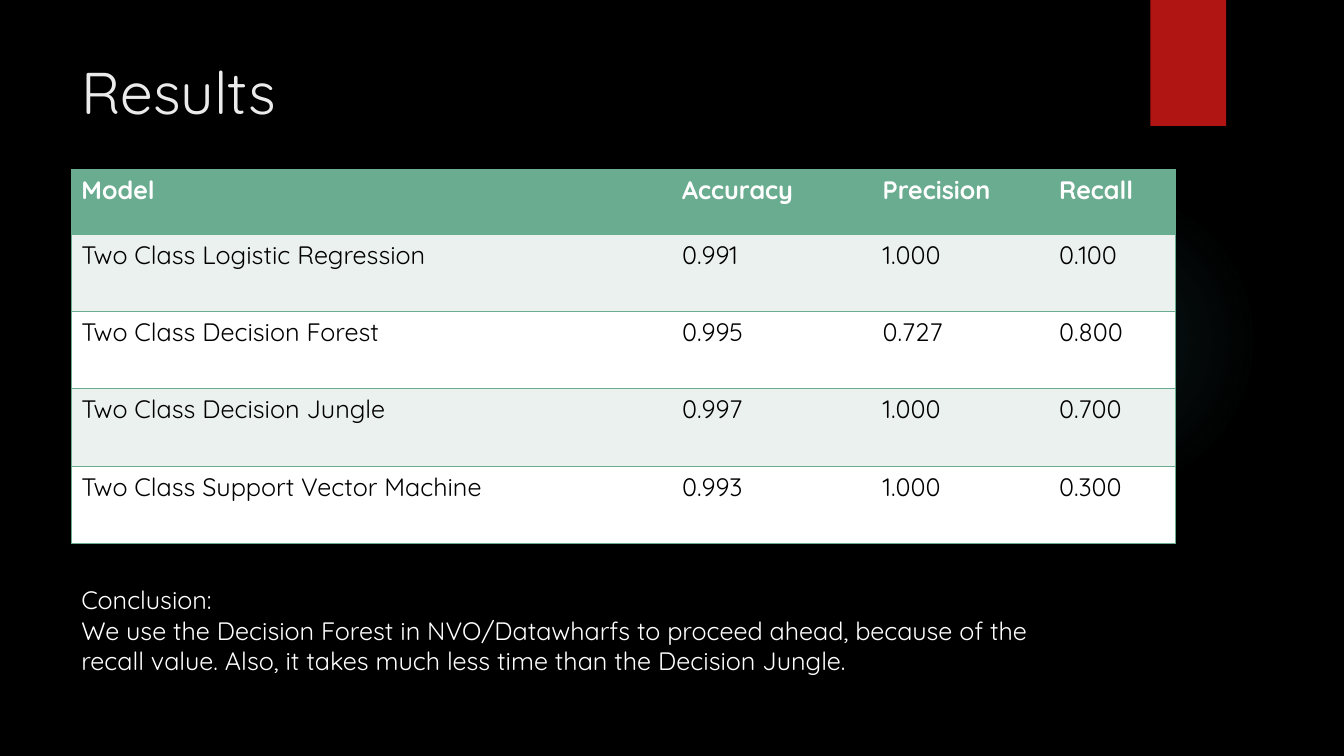
from lxml import etree
from pptx import Presentation
from pptx.dml.color import RGBColor
from pptx.enum.shapes import MSO_SHAPE
from pptx.enum.text import MSO_ANCHOR
from pptx.oxml.ns import qn
from pptx.util import Pt

RECT, OVAL = MSO_SHAPE.RECTANGLE, MSO_SHAPE.OVAL
TOP = MSO_ANCHOR.TOP

BLACK = RGBColor(0x00, 0x00, 0x00)
WHITE = RGBColor(0xFF, 0xFF, 0xFF)
PALE = RGBColor(0xEB, 0xEB, 0xEB)
RED = RGBColor(0xB0, 0x15, 0x13)
GREEN = RGBColor(0x6A, 0xAC, 0x90)
MINT = RGBColor(0xEB, 0xF1, 0xEE)
TEAL = RGBColor(0x50, 0xB9, 0xC1)

MODELS = [
    ("Model", "Accuracy", "Precision", "Recall"),
    ("Two Class Logistic Regression", "0.991", "1.000", "0.100"),
    ("Two Class Decision Forest", "0.995", "0.727", "0.800"),
    ("Two Class Decision Jungle", "0.997", "1.000", "0.700"),
    ("Two Class Support Vector Machine", "0.993", "1.000", "0.300"),
]
WIDTHS = (429, 143.3, 126, 90.5)
HEIGHTS = (46.1, 55.3, 55.3, 55.3, 55.3)


def add(parent, tag, **attrs):
    return etree.SubElement(parent, qn(tag), attrs)


class Board:
    """Holds the font and the current slide."""

    def __init__(self, slide, font):
        self.slide = slide
        self.font = font
        back = slide.background.fill
        back.solid()
        back.fore_color.rgb = BLACK

    def style(self, frame, size, color, bold=False):
        for para in frame.paragraphs:
            for run in para.runs:
                run.font.name = self.font
                run.font.size = Pt(size)
                run.font.bold = bold
                run.font.color.rgb = color

    def shape(self, kind, x, y, w, h, color):
        shape = self.slide.shapes.add_shape(kind, Pt(x), Pt(y), Pt(w), Pt(h))
        shape.shadow.inherit = False
        shape.fill.solid()
        shape.fill.fore_color.rgb = color
        shape.line.fill.background()
        return shape

    def glow(self, x, y, size, color, stops):
        """Draw a circle that fades out; stops are (place, opacity) in percent."""
        shape = self.shape(OVAL, x, y, size, size, color)
        solid = shape.fill._xPr.find(qn("a:solidFill"))
        grad = etree.Element(qn("a:gradFill"), rotWithShape="1")
        marks = add(grad, "a:gsLst")
        for place, alpha in stops:
            mark = add(marks, "a:gs", pos=str(place * 1000))
            tint = add(mark, "a:srgbClr", val=str(color))
            add(tint, "a:alpha", val=str(alpha * 1000))
        ring = add(grad, "a:path", path="circle")
        add(ring, "a:fillToRect", l="50000", t="50000", r="50000", b="50000")
        solid.getparent().replace(solid, grad)

    def text(self, x, y, w, h, words, size, color):
        box = self.slide.shapes.add_textbox(Pt(x), Pt(y), Pt(w), Pt(h))
        frame = box.text_frame
        frame.word_wrap = True
        frame.vertical_anchor = TOP
        frame.text = words
        self.style(frame, size, color)

    def border(self, cell, sides, color):
        """Draw the named sides of a cell and hide the others."""
        props = cell._tc.get_or_add_tcPr()
        for side in "LRTB":
            line = add(props, "a:ln" + side, w=str(Pt(1)))
            if side in sides:
                add(add(line, "a:solidFill"), "a:srgbClr", val=str(color))
            else:
                add(line, "a:noFill")

    def table(self, x, y, widths, heights, rows, size):
        table = self.slide.shapes.add_table(
            len(rows), len(widths), Pt(x), Pt(y),
            Pt(sum(widths)), Pt(sum(heights))).table
        table.horz_banding = False
        for col, width in zip(table.columns, widths):
            col.width = Pt(width)
        for row, height in zip(table.rows, heights):
            row.height = Pt(height)
        last = len(widths) - 1
        for r, row in enumerate(rows):
            head = r == 0
            fill = GREEN if head else MINT if r % 2 else WHITE
            for c, words in enumerate(row):
                cell = table.cell(r, c)
                sides = "TB" + ("L" if c == 0 else "R" if c == last else "")
                self.border(cell, sides, GREEN)
                cell.fill.solid()
                cell.fill.fore_color.rgb = fill
                cell.text_frame.text = words
                self.style(cell.text_frame, size, WHITE if head else BLACK, head)


def main():
    deck = Presentation()
    deck.slide_width, deck.slide_height = Pt(960), Pt(540)
    board = Board(deck.slides.add_slide(deck.slide_layouts[6]), "Quicksand")

    # Backdrop
    board.glow(677.5, 131.8, 221.8, TEAL, [(0, 7), (36, 6), (69, 0)])
    board.shape(RECT, 821.8, 0, 54, 90, RED)

    # Title
    board.text(51, 36, 741, 110, "Results", 42, PALE)

    # Model scores
    board.table(51, 121, WIDTHS, HEIGHTS, MODELS, 18)

    # Conclusion
    board.text(51, 414, 718, 73,
               "Conclusion:\n"
               "We use the Decision Forest in NVO/Datawharfs to proceed ahead, "
               "because of the recall value. Also, it takes much less time than "
               "the Decision Jungle.", 18, WHITE)

    deck.save("out.pptx")


if __name__ == "__main__":
    main()
